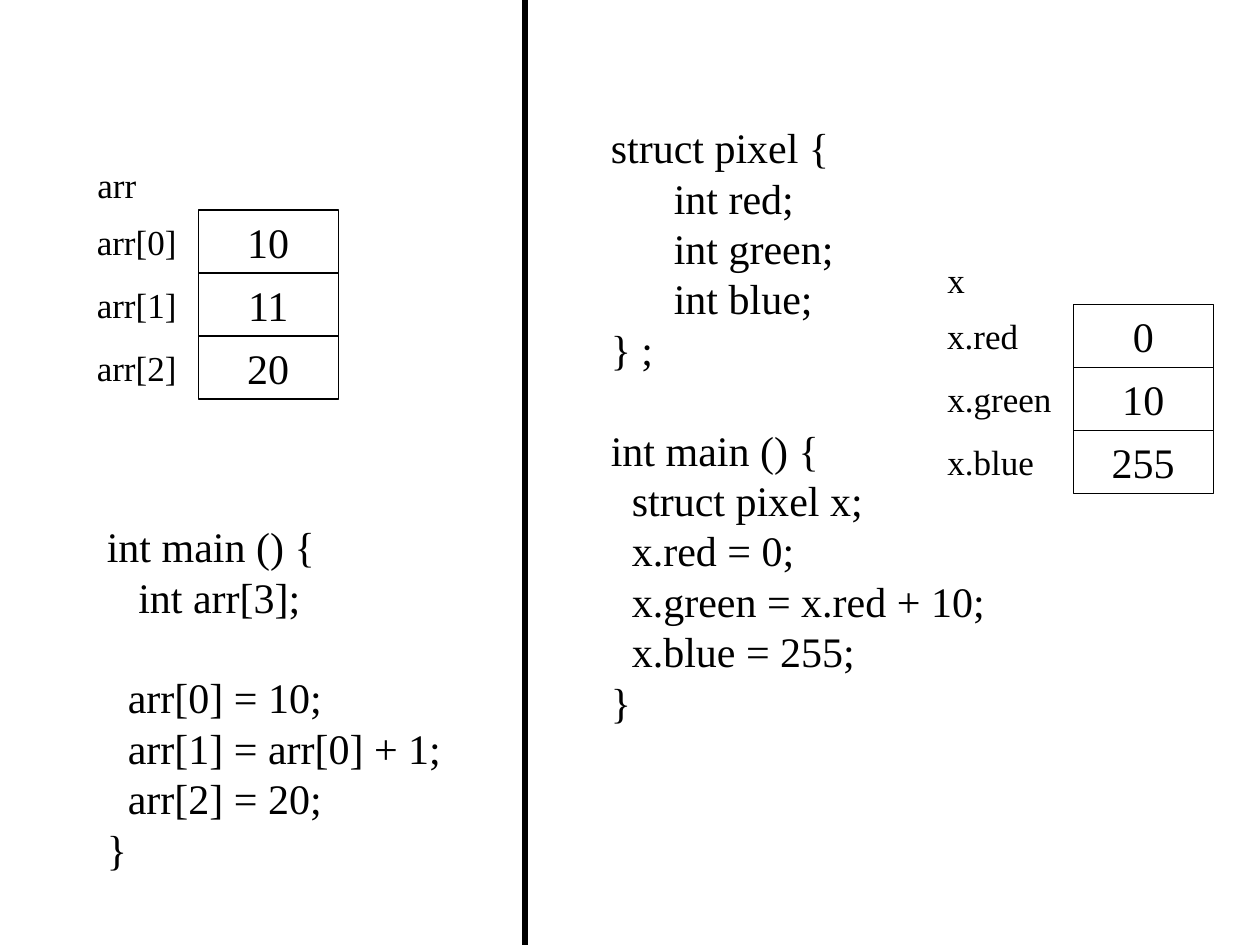
"""Build a slide comparing the memory layout of an array and a struct."""
from pptx import Presentation
from pptx.dml.color import RGBColor
from pptx.enum.shapes import MSO_CONNECTOR, MSO_SHAPE
from pptx.enum.text import MSO_ANCHOR, MSO_AUTO_SIZE, PP_ALIGN
from pptx.oxml.ns import qn
from pptx.util import Pt
from lxml.etree import SubElement

BLACK = RGBColor(0x00, 0x00, 0x00)
FONT = "Times New Roman"
CODE_SIZE, LABEL_SIZE = 24, 20
LINE_PITCH = 28.8
CELL_WIDTH, CELL_HEIGHT = 80, 36
LABEL_HEIGHT = 31.7


def format_text(box, size, alignment):
    box.text_frame.word_wrap = False
    for para in box.text_frame.paragraphs:
        para.alignment = alignment
        for span in para.runs:
            span.font.name = FONT
            span.font.size = Pt(size)
            span.font.color.rgb = BLACK


def add_label(shapes, text, left, top, width):
    box = shapes.add_textbox(Pt(left), Pt(top), Pt(width), Pt(LABEL_HEIGHT))
    box.text_frame.text = text
    box.text_frame.auto_size = MSO_AUTO_SIZE.SHAPE_TO_FIT_TEXT
    format_text(box, LABEL_SIZE, PP_ALIGN.RIGHT)


deck = Presentation()
deck.slide_width, deck.slide_height = Pt(720), Pt(540)
page = deck.slides.add_slide(deck.slide_layouts[6])

struct_blocks = [
    ["struct pixel {", "      int red;", "      int green;", "      int blue;", "} ;"],
    ["int main () {", "  struct pixel x;", "  x.red = 0;",
     "  x.green = x.red + 10;", "  x.blue = 255;", "}"],
]
array_blocks = [
    ["int main () {", "   int arr[3];"],
    ["  arr[0] = 10;", "  arr[1] = arr[0] + 1;", "  arr[2] = 20;", "}"],
]
listings = [
    (struct_blocks, 342, 66, 230, 353),
    (array_blocks, 54, 294, 208, 209),
]
for blocks, left, top, width, height in listings:
    box = page.shapes.add_textbox(Pt(left), Pt(top), Pt(width), Pt(height))
    first, second = blocks
    box.text_frame.text = "\n".join(first + second)
    box.text_frame.auto_size = MSO_AUTO_SIZE.SHAPE_TO_FIT_TEXT
    format_text(box, CODE_SIZE, PP_ALIGN.LEFT)
    for para in box.text_frame.paragraphs:
        para.line_spacing = Pt(LINE_PITCH)
    box.text_frame.paragraphs[len(first)].space_before = Pt(LINE_PITCH)

array_cells = [("arr[0]", 60, "10"), ("arr[1]", 60, "11"), ("arr[2]", 60, "20")]
struct_cells = [("x.red", 55, "0"), ("x.green", 74, "10"), ("x.blue", 64, "255")]
memory_maps = [
    ("arr", 37, array_cells, 48, 113.3, 120),
    ("x", 24.5, struct_cells, 534, 613.3, 174),
]
for name, name_width, cells, label_left, cell_left, top in memory_maps:
    group = page.shapes.add_group_shape()
    for row, (label, label_width, value) in enumerate(cells):
        cell_top = top + row * CELL_HEIGHT
        cell = group.shapes.add_shape(
            MSO_SHAPE.RECTANGLE, Pt(cell_left), Pt(cell_top), Pt(CELL_WIDTH), Pt(CELL_HEIGHT))
        cell.shadow.inherit = False
        cell.fill.background()
        cell.line.color.rgb = BLACK
        cell.line.width = Pt(0.75)
        cell.text_frame.text = value
        cell.text_frame.vertical_anchor = MSO_ANCHOR.MIDDLE
        format_text(cell, CODE_SIZE, PP_ALIGN.CENTER)
        add_label(group.shapes, label, label_left, cell_top + 2.4, label_width)
    add_label(group.shapes, name, label_left, top - 30, name_width)

divider = page.shapes.add_connector(MSO_CONNECTOR.STRAIGHT, Pt(300), Pt(0), Pt(300), Pt(540))
divider.line.color.rgb = BLACK
divider.line.width = Pt(3)
SubElement(divider.element.spPr, qn("a:effectLst"))

deck.save("out.pptx")
